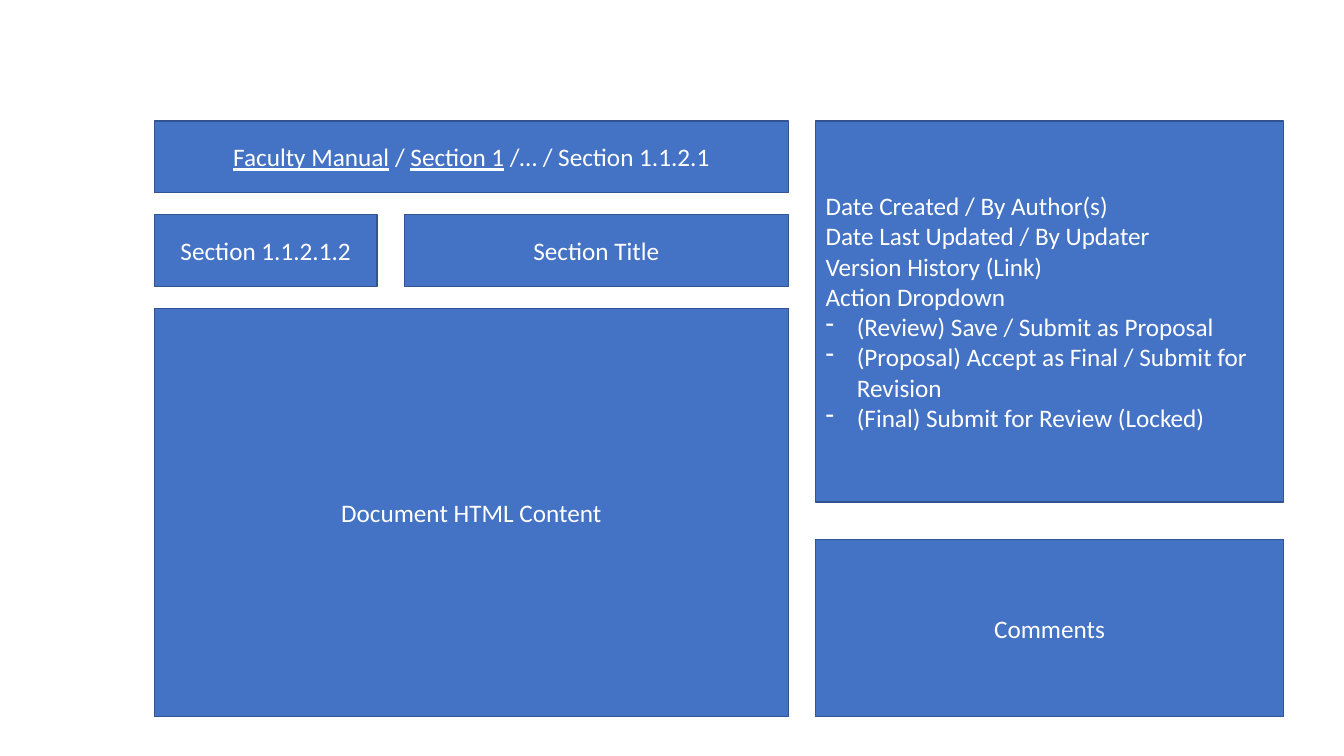
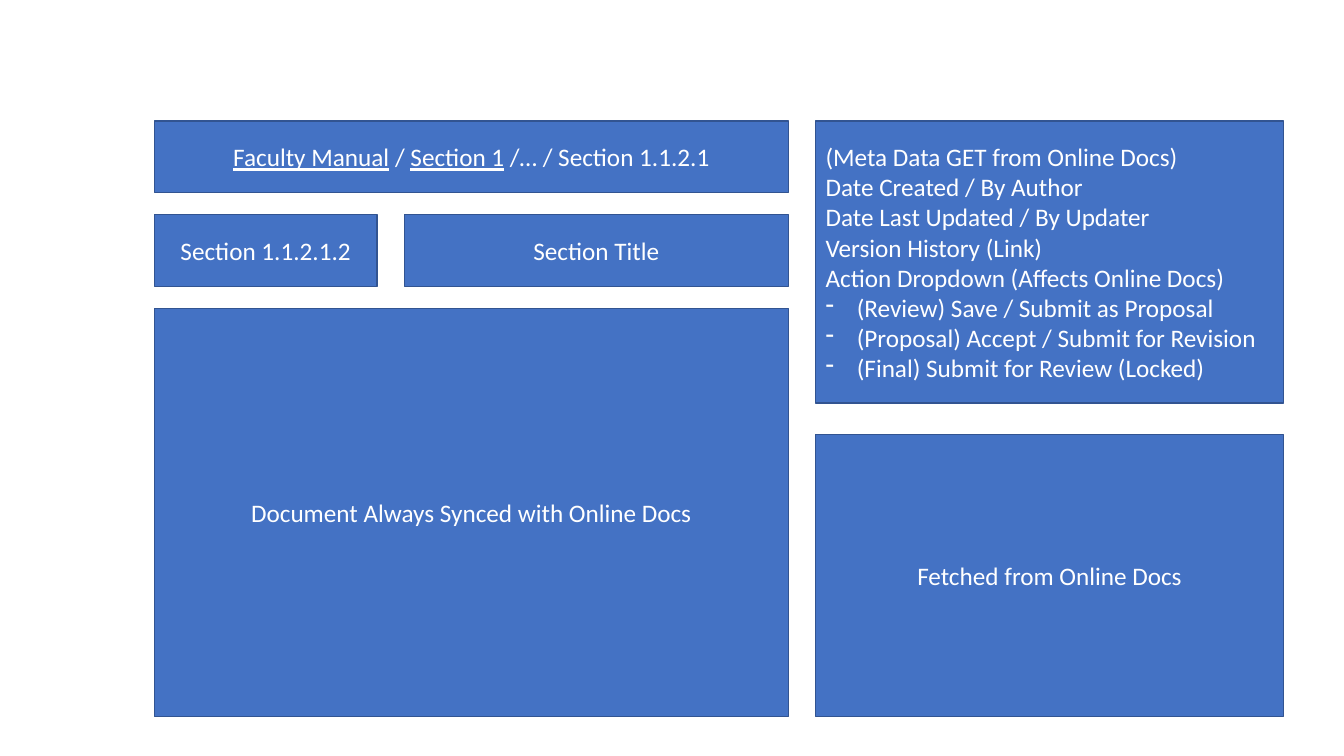
from collections import namedtuple

from pptx import Presentation
from pptx.dml.color import RGBColor
from pptx.enum.shapes import MSO_SHAPE as Shape
from pptx.enum.text import MSO_ANCHOR as Anchor, PP_ALIGN as Align
from pptx.oxml.ns import qn
from pptx.util import Inches, Pt
from lxml.etree import SubElement

BLUE = RGBColor(0x44, 0x72, 0xC4)
EDGE = RGBColor(0x32, 0x54, 0x91)
WHITE = RGBColor(0xFF, 0xFF, 0xFF)
FONT, TEXT_SIZE = "Calibri", Pt(18)
BULLET_INDENT = Inches(0.31)

# Lengths in inches
Box = namedtuple("Box", "left top width height")
DOCUMENT_AREA = Box(1.53, 1.2, 6.29, 5.91)
SIDEBAR_AREA = Box(8.09, 1.2, 4.64, 5.91)
BAR_HEIGHT, ROW_GAP = 0.71, 0.22
NUMBER_WIDTH, COLUMN_GAP = 2.21, 0.27

# A crumb is its text and whether it is underlined
BREADCRUMB = [("Faculty Manual", True), (" / ", False),
              ("Section 1", True), (" /… / Section 1.1.2.1", False)]


def add_panel(page, box):
    """Draw an empty blue panel and return its text frame."""
    panel = page.shapes.add_shape(Shape.RECTANGLE, *map(Inches, box))
    panel.shadow.inherit = False
    panel.fill.solid()
    panel.fill.fore_color.rgb = BLUE
    panel.line.color.rgb = EDGE
    panel.line.width = Pt(1)
    frame = panel.text_frame
    frame.word_wrap = True
    frame.vertical_anchor = Anchor.MIDDLE
    return frame


def style_paragraph(para, align):
    para.alignment = align
    para.font.name, para.font.size = FONT, TEXT_SIZE
    para.font.color.rgb = WHITE


def add_label(page, box, spans):
    """Panel with one centred line of (text, underlined) spans."""
    para = add_panel(page, box).paragraphs[0]
    style_paragraph(para, Align.CENTER)
    for text, underlined in spans:
        span = para.add_run()
        span.text = text
        if underlined:
            span.font.underline = True


def add_dash(para):
    properties = para._p.get_or_add_pPr()
    properties.set("marL", str(BULLET_INDENT))
    properties.set("indent", str(-BULLET_INDENT))
    SubElement(properties, qn("a:buFontTx"))
    SubElement(properties, qn("a:buChar")).set("char", "-")


def add_details(page, box, facts, actions):
    """Panel with plain lines followed by dashed ones."""
    frame = add_panel(page, box)
    for index, text in enumerate(facts + actions):
        para = frame.add_paragraph() if index else frame.paragraphs[0]
        para.text = text
        style_paragraph(para, Align.LEFT)
        if index >= len(facts):
            add_dash(para)


def add_document(page, area, content):
    """Breadcrumb, section heading and content, stacked in the area."""
    step = BAR_HEIGHT + ROW_GAP
    heading_top, content_top = area.top + step, area.top + 2 * step
    title_offset = NUMBER_WIDTH + COLUMN_GAP
    add_label(page, area._replace(height=BAR_HEIGHT), BREADCRUMB)
    add_label(page, Box(area.left, heading_top, NUMBER_WIDTH, BAR_HEIGHT),
              [("Section 1.1.2.1.2", False)])
    add_label(page, Box(area.left + title_offset, heading_top,
                        area.width - title_offset, BAR_HEIGHT),
              [("Section Title", False)])
    add_label(page, area._replace(top=content_top, height=area.height - 2 * step),
              [(content, False)])


def add_sidebar(page, area, details_height, gap, facts, actions, comments):
    """Details above comments, filling the area."""
    offset = details_height + gap
    add_details(page, area._replace(height=details_height), facts, actions)
    add_label(page, area._replace(top=area.top + offset, height=area.height - offset),
              [(comments, False)])


def add_wireframe(deck, content, **sidebar):
    page = deck.slides.add_slide(deck.slide_layouts.get_by_name("Blank"))
    add_document(page, DOCUMENT_AREA, content)
    add_sidebar(page, SIDEBAR_AREA, **sidebar)


deck = Presentation()
deck.slide_width, deck.slide_height = Inches(13.33), Inches(7.5)

# Document kept in the site itself
add_wireframe(
    deck, "Document HTML Content",
    details_height=3.78, gap=0.37,
    facts=["Date Created / By Author(s)", "Date Last Updated / By Updater",
           "Version History (Link)", "Action Dropdown"],
    actions=["(Review) Save / Submit as Proposal",
             "(Proposal) Accept as Final / Submit for Revision",
             "(Final) Submit for Review (Locked)"],
    comments="Comments")

# Document synced with an online editor
add_wireframe(
    deck, "Document Always Synced with Online Docs",
    details_height=2.8, gap=0.31,
    facts=["(Meta Data GET from Online Docs)", "Date Created / By Author",
           "Date Last Updated / By Updater", "Version History (Link)",
           "Action Dropdown (Affects Online Docs)"],
    actions=["(Review) Save / Submit as Proposal",
             "(Proposal) Accept / Submit for Revision",
             "(Final) Submit for Review (Locked)"],
    comments="Fetched from Online Docs")

deck.save("out.pptx")
